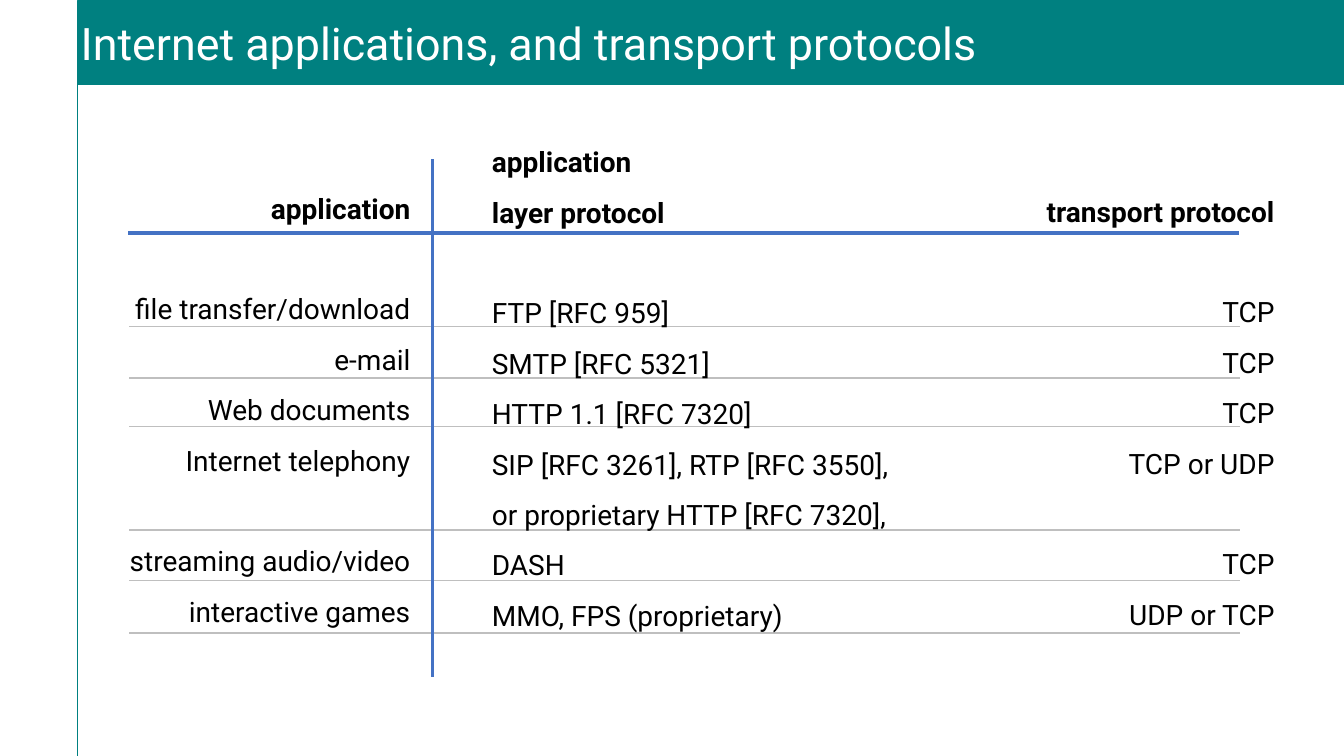
from lxml import etree
from pptx import Presentation
from pptx.dml.color import RGBColor
from pptx.enum import shapes, text
from pptx.oxml.ns import qn
from pptx.util import Inches, Pt

TEAL = RGBColor(0x00, 0x80, 0x80)
BLUE = RGBColor(0x44, 0x72, 0xC4)
GREY = RGBColor(0xBF, 0xBF, 0xBF)
BLACK = RGBColor(0x00, 0x00, 0x00)
WHITE = RGBColor(0xFF, 0xFF, 0xFF)
FONT = "Roboto"
ROW_GAP = Pt(36)
LEFT, RIGHT = text.PP_ALIGN.LEFT, text.PP_ALIGN.RIGHT


def add_line(s, x1, y1, x2, y2, color, width):
    line = s.shapes.add_connector(
        shapes.MSO_CONNECTOR.STRAIGHT, Inches(x1), Inches(y1), Inches(x2), Inches(y2))
    line.line.color.rgb = color
    line.line.width = Pt(width)
    etree.SubElement(line._element.spPr, qn("a:effectLst"))


def add_column(s, x, y, w, h, align, headings, rows, rows_after_gap):
    tf = s.shapes.add_textbox(Inches(x), Inches(y), Inches(w), Inches(h)).text_frame
    tf.word_wrap = True
    tf.text = "\n".join(headings + rows)
    for i, p in enumerate(tf.paragraphs):
        p.alignment = align
        p.line_spacing = 1.5
        if i - len(headings) in rows_after_gap:
            p.space_before = ROW_GAP
        p.font.name = FONT
        p.font.size = Pt(20)
        p.font.bold = i < len(headings)
        p.font.color.rgb = BLACK


prs = Presentation()
prs.slide_width, prs.slide_height = Inches(13.33), Inches(7.5)
s = prs.slides.add_slide(prs.slide_layouts[5])

title = s.shapes.title
title.left, title.top = Inches(0.77), Inches(0.01)
title.width, title.height = Inches(12.56), Inches(0.83)
title.fill.solid()
title.fill.fore_color.rgb = TEAL
title.line.color.rgb = TEAL
title.line.width = Pt(1)
tf = title.text_frame
tf.text = "Internet applications, and transport protocols"
tf.auto_size = text.MSO_AUTO_SIZE.NONE
tf.vertical_anchor = text.MSO_ANCHOR.MIDDLE
tf.margin_left = tf.margin_right = tf.margin_top = tf.margin_bottom = Inches(0.03)
p = tf.paragraphs[0]
p.alignment = LEFT
r = p.runs[0]
r.font.name = FONT
r.font.size = Pt(32)
r.font.color.rgb = WHITE

add_line(s, 0.77, 0.73, 0.77, 7.5, TEAL, 0.75)
add_line(s, 1.27, 2.31, 12.29, 2.31, BLUE, 2.5)
for y in (3.24, 3.75, 4.23, 5.26, 5.76, 6.28):
    add_line(s, 1.28, y, 12.3, y, GREY, 1.25)

add_column(s, 0.86, 1.68, 3.31, 4.6, RIGHT, ["application"],
           ["file transfer/download", "e-mail", "Web documents", "Internet telephony",
            "streaming audio/video", "interactive games"], (0, 4))
add_column(s, 4.78, 1.22, 4.39, 5.6, LEFT, ["application", "layer protocol"],
           ["FTP [RFC 959]", "SMTP [RFC 5321]", "HTTP 1.1 [RFC 7320]",
            "SIP [RFC 3261], RTP [RFC 3550], or proprietary HTTP [RFC 7320], DASH",
            "MMO, FPS (proprietary)"], (0,))
add_column(s, 9.66, 1.71, 3.08, 4.6, RIGHT, ["transport protocol"],
           ["TCP", "TCP", "TCP", "TCP or UDP", "TCP", "UDP or TCP"], (0, 4))

add_line(s, 4.29, 1.58, 4.29, 6.72, BLUE, 2.25)

prs.save("out.pptx")
